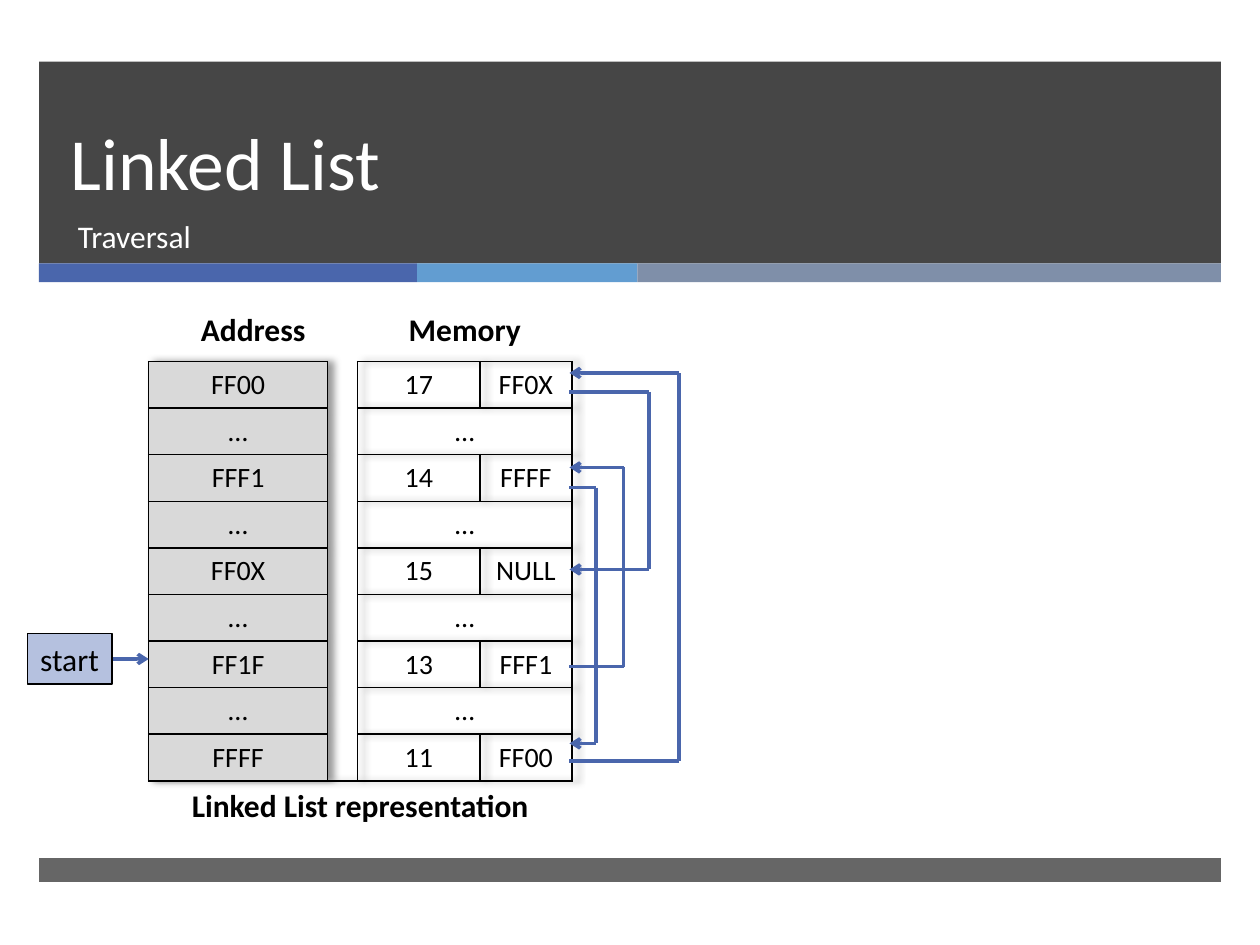
from lxml.etree import SubElement
from pptx import Presentation
from pptx.dml.color import RGBColor
from pptx.enum.shapes import MSO_CONNECTOR as Connector, MSO_SHAPE as Shape
from pptx.enum.text import MSO_ANCHOR as Anchor, PP_ALIGN as Align
from pptx.oxml import parse_xml
from pptx.oxml.ns import nsdecls, qn
from pptx.util import Inches, Pt

DARK, BLUE, BLACK, WHITE = "262626", "4A66AC", "000000", "FFFFFF"
NO_STYLE = "{2D5ABB26-0587-4C30-8999-92F81FD0307C}"
MEMORY = [
    ("FF00", "17", "FF0X"), ("…", "…"),
    ("FFF1", "14", "FFFF"), ("…", "…"),
    ("FF0X", "15", "NULL"), ("…", "…"),
    ("FF1F", "13", "FFF1"), ("…", "…"),
    ("FFFF", "11", "FF00"),
]
POINTERS = [(5.29, 3.71, 4.95), (3.87, 5.9, 4.73), (6.04, 2.96, 5.39), (3.11, 4.52, 5.15)]


def color(value):
    return RGBColor.from_string(value)


def write(frame, text, size=18, fill=BLACK, bold=False, align=Align.LEFT, spacing=None):
    paragraph = frame.paragraphs[0]
    paragraph.alignment = align
    if spacing:
        paragraph.line_spacing = Pt(spacing)
    run = paragraph.add_run()
    run.text = text
    run.font.name = "Calibri"
    run.font.size = Pt(size)
    run.font.bold = bold
    run.font.color.rgb = color(fill)


def add_box(slide, left, top, width, height, fill, alpha=100, outline=None):
    shape = slide.shapes.add_shape(
        Shape.RECTANGLE, Inches(left), Inches(top), Inches(width), Inches(height))
    shape.shadow.inherit = False
    shape.fill.solid()
    shape.fill.fore_color.rgb = color(fill)
    if alpha < 100:
        value = shape._element.spPr.find(qn("a:solidFill"))[0]
        SubElement(value, qn("a:alpha"), val=str(alpha * 1000))
    if outline:
        shape.line.color.rgb = color(outline)
        shape.line.width = Pt(0.75)
    else:
        shape.line.fill.background()
    return shape


def add_text(slide, left, top, width, height, text, anchor=Anchor.TOP, **text_format):
    box = slide.shapes.add_textbox(Inches(left), Inches(top), Inches(width), Inches(height))
    box.text_frame.word_wrap = True
    box.text_frame.vertical_anchor = anchor
    write(box.text_frame, text, **text_format)


def add_line(slide, start, end, arrow=False):
    line = slide.shapes.add_connector(
        Connector.STRAIGHT, *(Inches(value) for value in (*start, *end)))
    line.line.color.rgb = color(BLUE)
    line.line.width = Pt(2)
    if arrow:
        SubElement(line.line._get_or_add_ln(), qn("a:tailEnd"), type="arrow")
    SubElement(line._element.spPr, qn("a:effectLst"))


def set_borders(cell, sides):
    properties = cell._tc.get_or_add_tcPr()
    for index, side in enumerate("LRTB"):
        paint = (f'<a:solidFill><a:srgbClr val="{BLACK}"/></a:solidFill>'
                 if side in sides else "<a:noFill/>")
        properties.insert(index, parse_xml(
            f'<a:ln{side} {nsdecls("a")} w="12700">{paint}</a:ln{side}>'))


def add_header(slide, left, top, width, height):
    add_box(slide, left, top, width, height, DARK, alpha=85)
    stripe = left
    for stripe_width, fill in ((3, BLUE), (1.75, "629DD1"), (4.63, "7F8FA9")):
        add_box(slide, stripe, top + height, stripe_width, 0.15, fill)
        stripe += stripe_width
    add_text(slide, left + 0.15, top, 8.54, 1.19, "Linked List",
             anchor=Anchor.BOTTOM, size=42, fill=WHITE, spacing=46)
    add_text(slide, left + 0.21, top + 1.18, 8.48, 0.53, "Traversal", fill=WHITE)


def add_memory_table(slide, left, top, width, height):
    rows = len(MEMORY) + 2
    graphic = slide.shapes.add_table(
        rows, 4, Inches(left), Inches(top), Inches(width), Inches(height))
    table = graphic.table
    table.first_row = table.horz_banding = False
    properties = table._tbl.tblPr
    properties.find(qn("a:tableStyleId")).text = NO_STYLE
    properties.insert(0, parse_xml(
        f'<a:effectLst {nsdecls("a")}><a:outerShdw blurRad="50800" dist="38100" dir="0">'
        f'<a:srgbClr val="{BLACK}"><a:alpha val="40000"/></a:srgbClr>'
        '</a:outerShdw></a:effectLst>'))
    for column, column_width in zip(table.columns, (1.42, 0.23, 0.97, 0.73)):
        column.width = Inches(column_width)
    for row in table.rows:
        row.height = Inches(0.37)
    table.rows[0].height = Inches(0.49)

    def fill_cell(row, column, text, span=1, **text_format):
        cell = table.cell(row, column)
        if span > 1:
            cell.merge(table.cell(row, column + span - 1))
        cell.vertical_anchor = Anchor.MIDDLE
        write(cell.text_frame, text, align=Align.CENTER, **text_format)

    fill_cell(0, 0, "Address", span=2, bold=True)
    fill_cell(0, 2, "Memory", span=2, bold=True)
    for row, (address, *values) in enumerate(MEMORY, 1):
        fill_cell(row, 0, address, size=16)
        for column, value in enumerate(values, 2):
            fill_cell(row, column, value, span=3 - len(values), size=16)
    fill_cell(rows - 1, 0, "Linked List representation", span=4, bold=True)

    for row in range(rows):
        for column in range(4):
            cell = table.cell(row, column)
            cell.fill.background()
            if not cell.text_frame.text:
                cell.margin_top = cell.margin_bottom = 0
            if row == 0:
                sides = "" if column == 1 else "B"
            elif row == rows - 1:
                sides = "T"
            else:
                sides = "LR" if column == 1 else "LRTB"
                if column == 0:
                    cell.fill.solid()
                    cell.fill.fore_color.rgb = color("D9D9D9")
            set_borders(cell, sides)


def add_pointers(slide, edge):
    for source, target, bend in POINTERS:
        add_line(slide, (edge, source), (bend, source))
        add_line(slide, (bend, source), (bend, target))
        add_line(slide, (bend, target), (edge, target), arrow=True)


def add_start(slide, left, top, width, height, edge):
    middle = top + height / 2
    add_line(slide, (left + width, middle), (edge, middle), arrow=True)
    shape = add_box(slide, left, top, width, height, "B5C1DF", outline=BLACK)
    shape.text_frame.word_wrap = False
    write(shape.text_frame, "start")


def main():
    presentation = Presentation()
    presentation.slide_width = Inches(10)
    presentation.slide_height = Inches(7.5)
    slide = presentation.slides.add_slide(presentation.slide_layouts[6])
    add_header(slide, 0.31, 0.49, 9.38, 1.6)
    add_box(slide, 0.31, 6.81, 9.38, 0.19, DARK, alpha=70)
    add_memory_table(slide, 1.18, 2.38, 3.35, 4.19)
    add_pointers(slide, 4.52)
    add_start(slide, 0.22, 5.03, 0.67, 0.4, 1.18)
    presentation.save("out.pptx")


if __name__ == "__main__":
    main()
